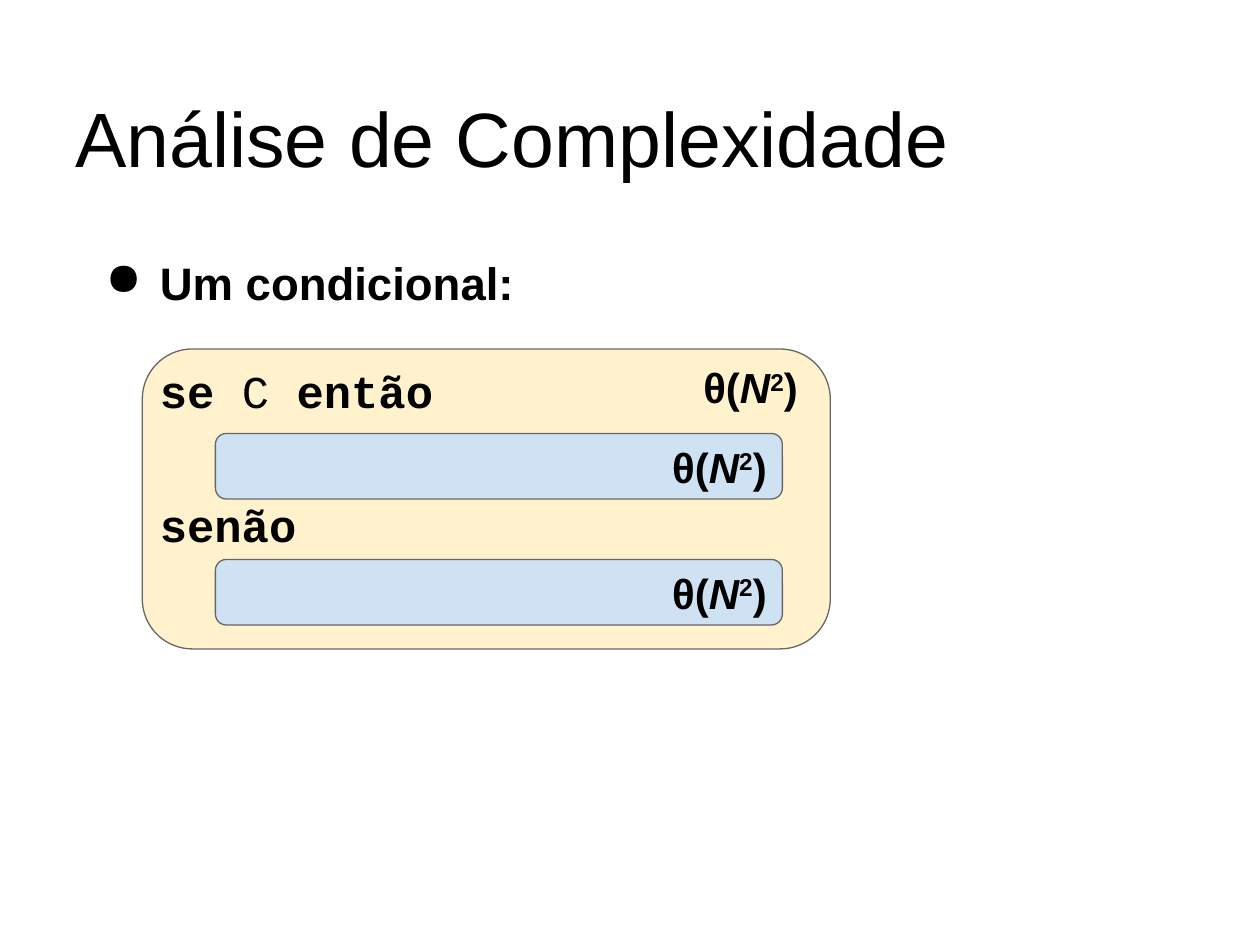
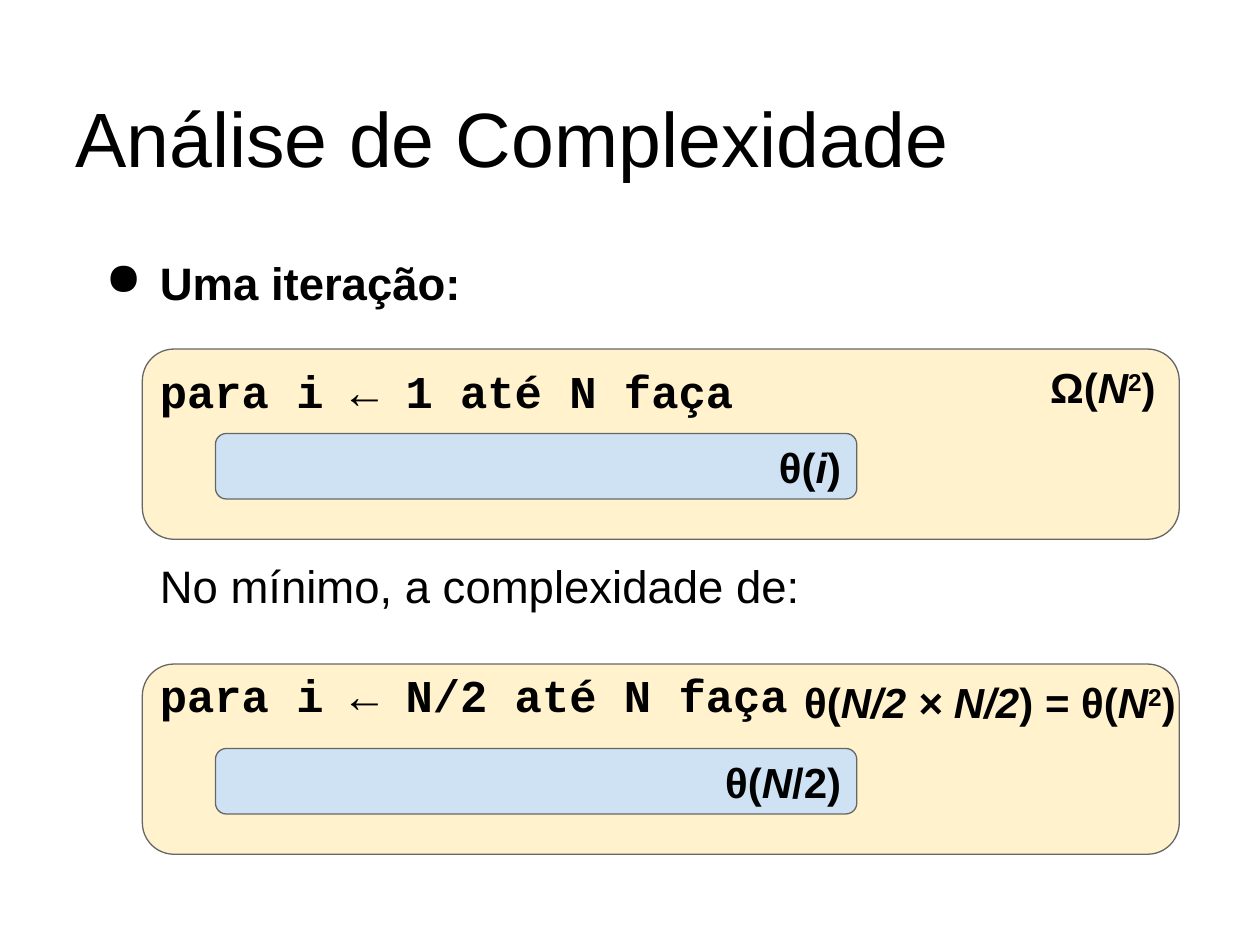
import pptx
import pptx.util
import pptx.dml.color
import pptx.enum.shapes
import pptx.enum.text
import lxml.etree

Inches = pptx.util.Inches
Pt = pptx.util.Pt
ANCHOR = pptx.enum.text.MSO_ANCHOR
RIGHT = pptx.enum.text.PP_ALIGN.RIGHT
INK, EDGE, CREAM, BLUE = "000000", "666666", "FFF2CC", "CFE2F3"
BODY_X, BODY_W, ROW_H = 0.67, 9, 0.52
PANEL_X, BAR_X = 1.13, 1.71
SQUARE = [("θ(", ""), ("N", "i"), ("2", "sup"), (")", "")]


def rgb(color):
    return pptx.dml.color.RGBColor.from_string(color)


def add_box(s, at, fill=None, paragraphs=(), size=24, font="Arial", bold=True, anchor=ANCHOR.TOP, align=None):
    at = [Inches(v) for v in at]
    if fill:
        sp = s.shapes.add_shape(pptx.enum.shapes.MSO_SHAPE.ROUNDED_RECTANGLE, *at)
        sp.shadow.inherit = False
        sp.fill.solid()
        sp.fill.fore_color.rgb = rgb(fill)
        sp.line.color.rgb = rgb(EDGE)
        sp.line.width = Pt(0.75)
    else:
        sp = s.shapes.add_textbox(*at)
    tf = sp.text_frame
    tf.word_wrap = True
    tf.vertical_anchor = anchor
    tf.margin_left = tf.margin_right = tf.margin_top = tf.margin_bottom = Inches(0.1)
    for i, runs in enumerate(paragraphs):
        p = tf.paragraphs[0] if i == 0 else tf.add_paragraph()
        p.alignment = align
        p.font.size, p.font.name, p.font.bold = Pt(size), font, bold
        p.font.color.rgb = rgb(INK)
        for text, style in runs:
            r = p.add_run()
            r.text = text
            if style == "i":
                r.font.italic = True
            elif style == "sup":
                r.font._element.set("baseline", "30000")
            elif style == "plain":
                r.font.bold = False
    return tf


slides = [
    {
        "panels": [(2.77, 5.46, 2.38)],
        "bodies": [(1.92, "Um condicional:", True, [
            (31, [("se", ""), (" C ", "plain"), ("então", "")]),
            (45, [("senão", "")]),
        ])],
        "bars": [(3.44, 4.5, SQUARE), (4.44, 4.5, SQUARE)],
        "costs": [(1.79, 2.77, 4.64, SQUARE)],
    },
    {
        "panels": [(2.77, 8.23, 1.51), (5.27, 8.23, 1.51)],
        "bodies": [
            (1.92, "Uma iteração:", True, [(31, [("para i ← 1 até N faça", "")])]),
            (4.33, "No mínimo, a complexidade de:", False, [(31, [("para i ← N/2 até N faça", "")])]),
        ],
        "bars": [
            (3.44, 5.09, [("θ(", ""), ("i", "i"), (")", "")]),
            (5.94, 5.09, [("θ(", ""), ("N", "i"), ("/2)", "")]),
        ],
        "costs": [
            (5.8, 2.77, 3.47, [("Ω(", "")] + SQUARE[1:]),
            (5.96, 5.27, 3.47, [("θ(", ""), ("N/2 × N/2", "i"), (") = θ(", "")] + SQUARE[1:]),
        ],
    },
]

prs = pptx.Presentation()
prs.slide_width, prs.slide_height = Inches(10), Inches(7.5)

for content in slides:
    s = prs.slides.add_slide(prs.slide_layouts[6])
    add_box(s, (0.5, 0.3, 9, 1.25), None, [[("Análise de Complexidade", "")]],
            size=44, bold=False, anchor=ANCHOR.BOTTOM)
    for y, w, h in content["panels"]:
        add_box(s, (PANEL_X, y, w, h), CREAM)
    for y, heading, bulleted, code in content["bodies"]:
        tf = add_box(s, (BODY_X, y, BODY_W, 0.71), None,
                     [[(heading, "")]] + [runs for gap, runs in code], size=26)
        for p in tf.paragraphs:
            pPr = p._p.get_or_add_pPr()
            pPr.set("marL", str(Inches(0.5)))
            pPr.set("indent", "0")
        for p, (gap, runs) in zip(tf.paragraphs[1:], code):
            p.space_before = Pt(gap)
            p.font.name = "Courier New"
        p = tf.paragraphs[0]
        p.font.bold = bulleted
        if bulleted:
            pPr = p._p.get_or_add_pPr()
            pPr.set("indent", str(Inches(-0.43)))
            bullet = lxml.etree.Element(pptx.oxml.ns.qn("a:buChar"), char="●")
            pPr.insert(0, bullet)
    for y, w, formula in content["bars"]:
        add_box(s, (BAR_X, y, w, ROW_H), BLUE, [formula], anchor=ANCHOR.MIDDLE, align=RIGHT)
    for x, y, w, formula in content["costs"]:
        add_box(s, (x, y, w, ROW_H), None, [formula], align=RIGHT)

prs.save("out.pptx")
